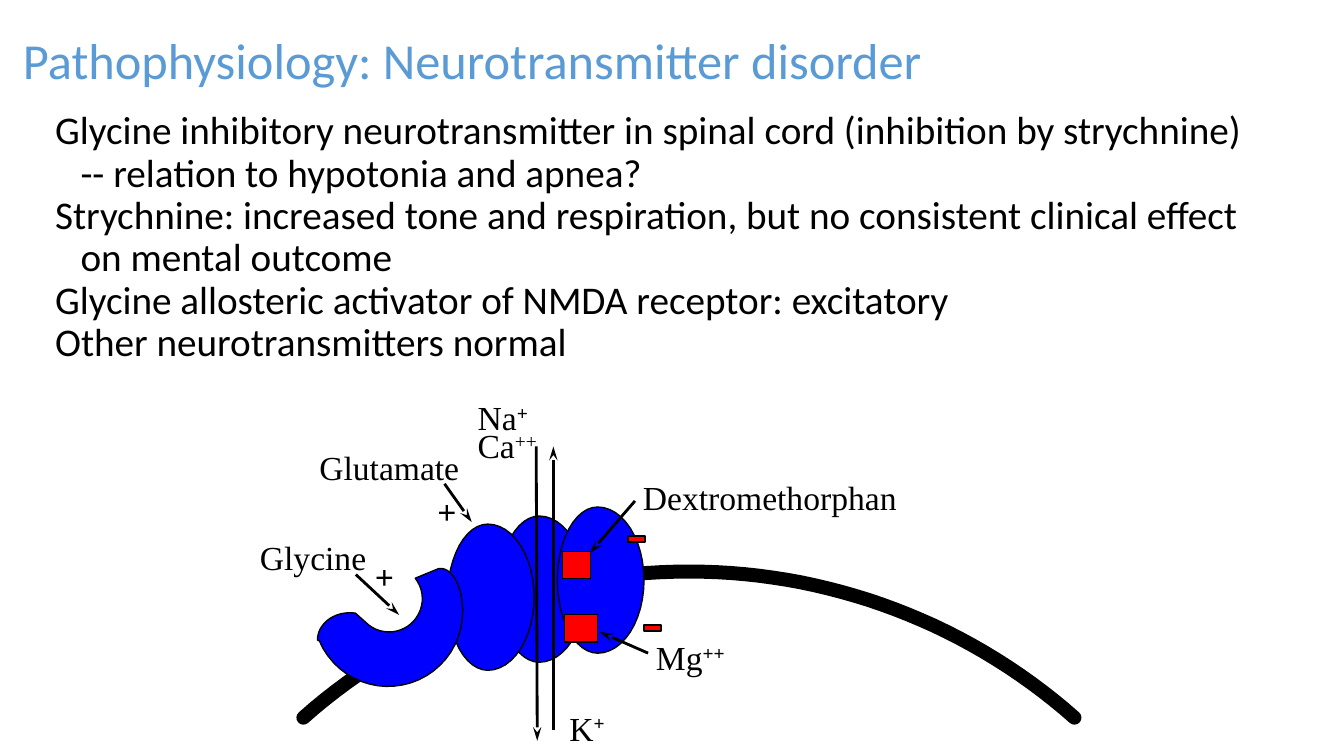
import math
from dataclasses import dataclass
from typing import NamedTuple

import lxml.etree
import pptx
import pptx.dml.color
import pptx.enum.shapes
import pptx.enum.text
import pptx.oxml.ns
import pptx.util

Cm = pptx.util.Cm
Pt = pptx.util.Pt
qn = pptx.oxml.ns.qn
rgb = pptx.dml.color.RGBColor.from_string


@dataclass(frozen=True)
class Theme:
    sans: str = "Calibri"
    serif: str = "Times New Roman"
    title: float = 36
    body: float = 28
    label: float = 24
    thin: float = 1
    arrow: float = 2
    nerve: float = 10
    head: str = "5B9BD5"
    ink: str = "000000"
    cell: str = "0000FF"
    block: str = "FF0000"


class Label(NamedTuple):
    x: int
    y: int
    width: int
    text: str
    power: str = ""
    bold: bool = False


THEME = Theme()
UNIT = Cm(2.54) / 100
FINE = 10

TITLE = "Pathophysiology: Neurotransmitter disorder"
POINTS = [
    "Glycine inhibitory neurotransmitter in spinal cord (inhibition by strychnine) -- relation to hypotonia and apnea?",
    "Strychnine: increased tone and respiration, but no consistent clinical effect on mental outcome",
    "Glycine allosteric activator of NMDA receptor: excitatory",
    "Other neurotransmitters normal",
]
LOBES = {"back": (247, 123), "left": (196, 131), "right": (305, 114)}
HOOK = (67, 175)
BLOCKS = {
    "upper plug": (310, 158, 28, 27),
    "lower plug": (312, 221, 33, 27),
    "lower minus": (391, 231, 17, 6),
    "upper minus": (375, 143, 17, 6),
}
LABELS = [
    Label(59, 49, 160, "Glutamate"),
    Label(0, 139, 127, "Glycine"),
    Label(114, 158, 39, "+", bold=True),
    Label(176, 93, 39, "+", bold=True),
    Label(216, 0, 72, "Na", "+", True),
    Label(216, 28, 83, "Ca", "++"),
    Label(380, 79, 274, "Dextromethorphan"),
    Label(307, 308, 58, "K", "+", True),
    Label(393, 238, 93, "Mg", "++", True),
]
ARROWS = {
    "glycine": (105, 181, 148, 221),
    "glutamate": (193, 91, 220, 129),
    "inward": (284, 54, 285, 346),
    "outward": (301, 335, 301, 54),
    "magnesium": (395, 259, 347, 238),
    "blocker": (382, 108, 337, 160),
}


def scale(*nums):
    return [round(n * UNIT) for n in nums]


def style(font, name, size, tint):
    font.name = name
    font.size = Pt(size)
    font.color.rgb = rgb(tint)


def stroke(line, width):
    line.color.rgb = rgb(THEME.ink)
    line.width = Pt(width)


def paint(shape, tint):
    shape.shadow.inherit = False
    shape.fill.solid()
    shape.fill.fore_color.rgb = rgb(tint)
    stroke(shape.line, THEME.thin)


def arc(mid, level, wide, tall, start, stop, steps=24):
    turns = [math.radians(start + (stop - start) * i / steps) for i in range(steps + 1)]
    return [(mid + wide * math.cos(t), level + tall * math.sin(t)) for t in turns]


def trace(slide, box, dots, close):
    dots = [(x * FINE, y * FINE) for x, y in dots]
    pen = slide.shapes.build_freeform(*dots[0], scale=UNIT / FINE)
    pen.add_line_segments(dots[1:], close=close)
    shape = pen.convert_to_shape(*box[:2])
    shape.shadow.inherit = False
    return shape


def heading(slide, box):
    frame = slide.shapes.add_textbox(*box).text_frame
    frame.word_wrap = True
    frame.vertical_anchor = pptx.enum.text.MSO_ANCHOR.MIDDLE
    para = frame.paragraphs[0]
    para.text = TITLE
    para.line_spacing = 0.9
    style(para.font, THEME.sans, THEME.title, THEME.head)


def body(slide, box):
    frame = slide.shapes.add_textbox(*box).text_frame
    frame.word_wrap = True
    for i, text in enumerate(POINTS):
        para = frame.add_paragraph() if i else frame.paragraphs[0]
        para.text = text
        para.line_spacing = 0.9
        props = para._p.get_or_add_pPr()
        props.set("marL", str(Cm(0.64)))
        props.set("indent", str(-Cm(0.64)))
        style(para.font, THEME.sans, THEME.body, THEME.ink)


def nerve(slide, box):
    mid, top, half, rise = 435.5, 178, 382.5, 145
    radius = (half ** 2 + rise ** 2) / (2 * rise)
    sweep = math.degrees(math.asin(half / radius))
    dots = arc(mid, top + radius, radius, radius, -90 - sweep, -90 + sweep, 60)
    curve = trace(slide, box, dots, False)
    curve.fill.background()
    stroke(curve.line, THEME.nerve)
    edge = curve._element.spPr.find(qn("a:ln"))
    edge.set("cap", "rnd")
    lxml.etree.SubElement(edge, qn("a:round"))


def lobe(slide, box, x, y):
    left, right, tall = 40, 46, 72.5
    mid, level = x + left, y + tall
    dots = arc(mid, level, right, tall, -90, 90) + arc(mid, level, left, tall, 90, 270)
    paint(trace(slide, box, dots, True), THEME.cell)


def hook(slide, box, x, y):
    tip = arc(x + 122, y + 42, 22, 42, -95, 0)
    belly = arc(x + 70, y + 43, 74, 74, 0, 157)
    tail = arc(x + 32, y + 71, 32, 27, 180, 280)
    mouth = arc(x + 71, y + 30, 33, 33, 135, -38)
    paint(trace(slide, box, tip + belly + tail + mouth, True), THEME.cell)


def block(slide, box, part):
    x, y, width, height = scale(*part)
    shape = slide.shapes.add_shape(
        pptx.enum.shapes.MSO_SHAPE.RECTANGLE, box[0] + x, box[1] + y, width, height)
    paint(shape, THEME.block)


def label(slide, box, item):
    x, y, width = scale(item.x, item.y, item.width)
    frame = slide.shapes.add_textbox(box[0] + x, box[1] + y, width, Cm(1.28)).text_frame
    frame.word_wrap = False
    frame.auto_size = pptx.enum.text.MSO_AUTO_SIZE.SHAPE_TO_FIT_TEXT
    para = frame.paragraphs[0]
    style(para.font, THEME.serif, THEME.label, THEME.ink)
    run = para.add_run()
    run.text = item.text
    if item.power:
        run = para.add_run()
        run.text = item.power
        run._r.get_or_add_rPr().set("baseline", "30000")
    run.font.bold = item.bold


def arrow(slide, box, ends):
    x, y, far, low = scale(*ends)
    left, top = box[:2]
    link = slide.shapes.add_connector(
        pptx.enum.shapes.MSO_CONNECTOR.STRAIGHT,
        left + x, top + y, left + far, top + low)
    stroke(link.line, THEME.arrow)
    props = link._element.spPr
    lxml.etree.SubElement(props.find(qn("a:ln")), qn("a:tailEnd"), type="stealth", len="lg")
    lxml.etree.SubElement(props, qn("a:effectLst"))


def figure(slide, box):
    nerve(slide, box)
    for spot in LOBES.values():
        lobe(slide, box, *spot)
    hook(slide, box, *HOOK)
    for draw, parts in ((block, BLOCKS.values()), (label, LABELS), (arrow, ARROWS.values())):
        for part in parts:
            draw(slide, box, part)


def main():
    deck = pptx.Presentation()
    deck.slide_width = Cm(33.87)
    deck.slide_height = Cm(19.05)
    slide = deck.slides.add_slide(deck.slide_layouts[6])
    heading(slide, (Cm(0.33), Cm(0), Cm(27.38), Cm(3.18)))
    body(slide, (Cm(1.14), Cm(2.67), Cm(30.73), Cm(7.85)))
    figure(slide, (Cm(6.3), Cm(9.88)))
    deck.save("out.pptx")


if __name__ == "__main__":
    main()
